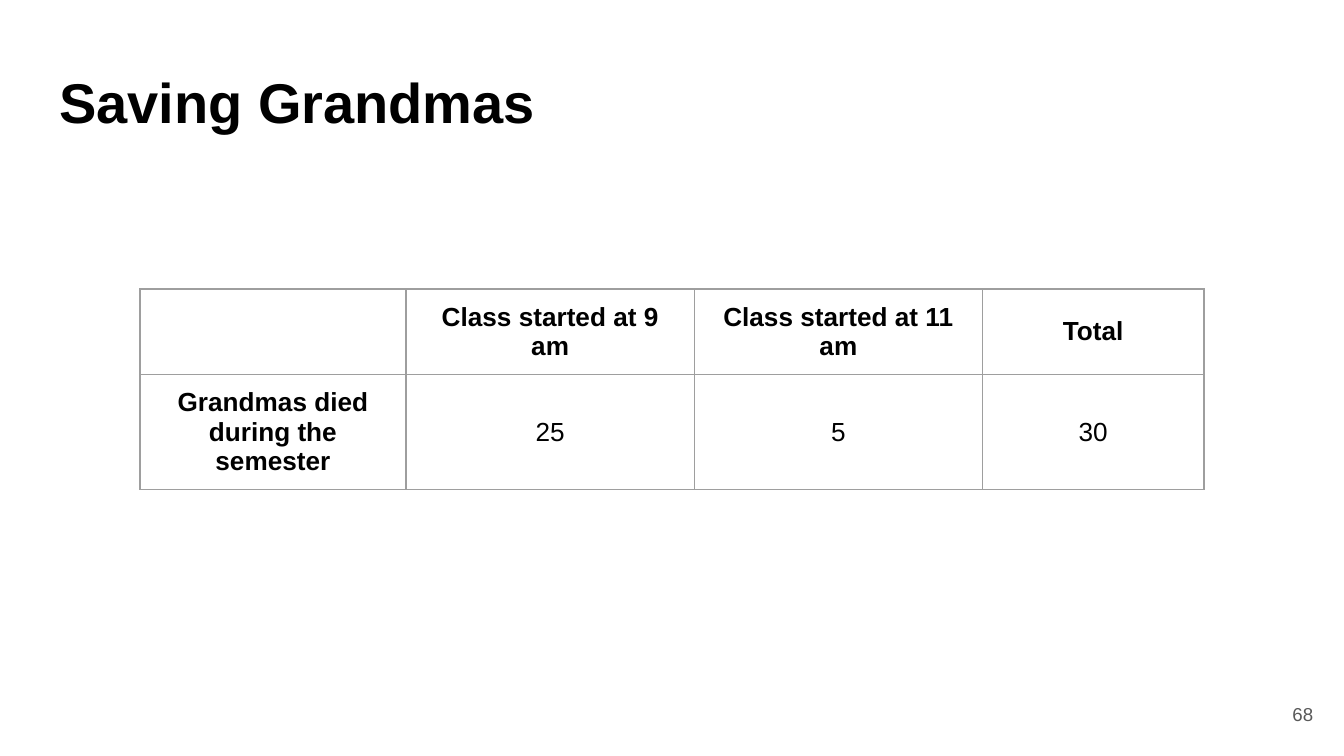
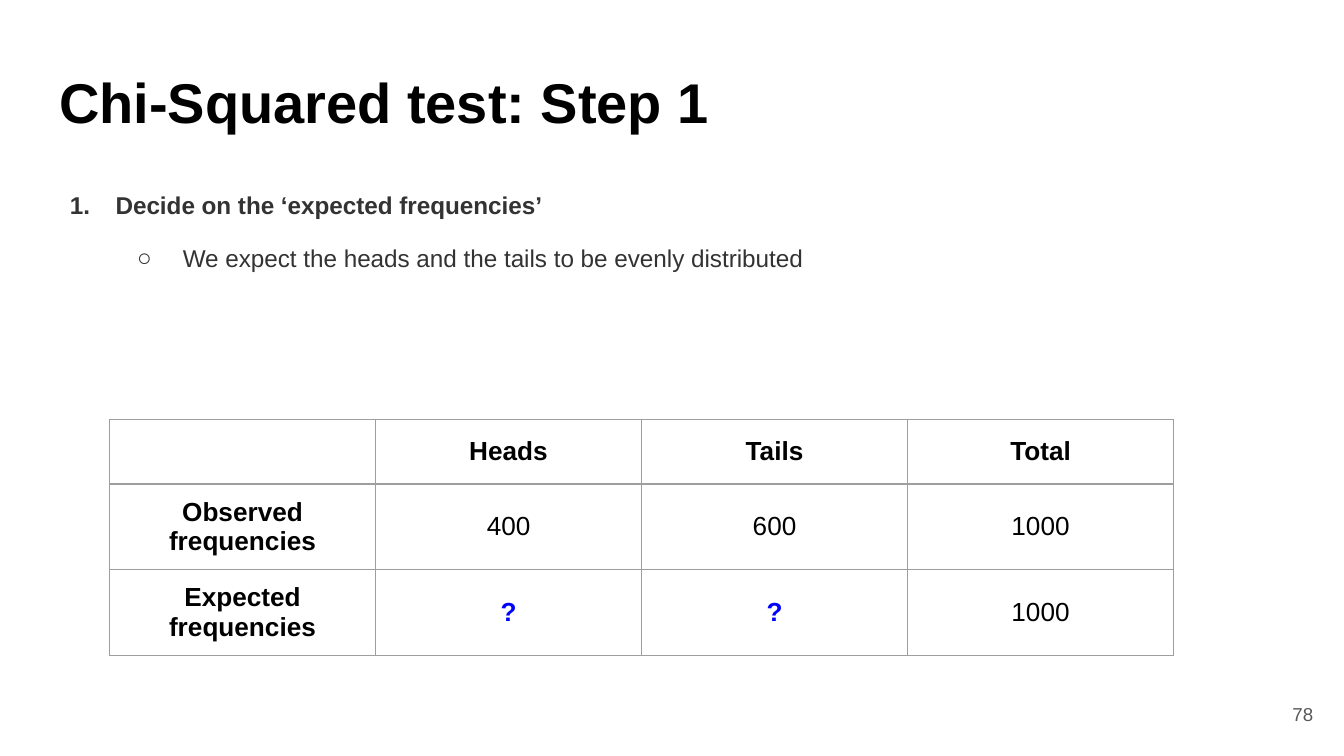
from dataclasses import dataclass
from typing import Optional

from lxml.etree import SubElement
from pptx import Presentation
from pptx.dml.color import RGBColor
from pptx.enum.text import MSO_ANCHOR, MSO_AUTO_SIZE, PP_ALIGN
from pptx.oxml.ns import qn
from pptx.util import Pt


@dataclass(frozen=True)
class Theme:
    font: str = "Arial"
    ink: str = "000000"
    body: str = "333333"
    accent: str = "0000FF"
    muted: str = "595959"
    border: str = "9E9E9E"
    title_size: float = 30
    table_size: float = 14
    body_size: float = 13
    number_size: float = 10
    border_width: float = 0.75
    inset: float = 7.2


@dataclass(frozen=True)
class Box:
    left: float
    top: float
    width: float
    height: float

    def lengths(self):
        return Pt(self.left), Pt(self.top), Pt(self.width), Pt(self.height)


@dataclass(frozen=True)
class FrequencyTable:
    left: float
    top: float
    columns: tuple[float, ...]
    rows: tuple[tuple[str, ...], ...]


@dataclass(frozen=True)
class Point:
    text: str
    bullet: str
    attributes: dict[str, str]
    level: int = 0
    bold: bool = False
    space_before: float = 0


@dataclass(frozen=True)
class Page:
    title: str
    number: str
    table: FrequencyTable
    points: tuple[Point, ...] = ()


THEME = Theme()
TITLE_BOX = Box(24.5, 28.8, 671, 45.4)
POINTS_BOX = Box(25.9, 98.6, 594, 79.2)
NUMBER_BOX = Box(667.4, 367.2, 43.2, 31)
ROW_HEIGHT = 30.2
INDENT = 36
HANGING = 24.5

PAGES = (
    Page(
        "Saving Grandmas",
        "68",
        FrequencyTable(75, 154.8, (142.5, 154.5, 154.3, 118.7), (
            ("", "Class started at 9 am", "Class started at 11 am", "Total"),
            ("Grandmas died during the semester", "25", "5", "30"),
        )),
    ),
    Page(
        "Chi-Squared test: Step 1",
        "78",
        FrequencyTable(58.7, 224.7, (142.5,) * 4, (
            ("", "Heads", "Tails", "Total"),
            ("Observed frequencies", "400", "600", "1000"),
            ("Expected frequencies", "?", "?", "1000"),
        )),
        (
            Point("Decide on the ‘expected frequencies’", "a:buAutoNum",
                  {"type": "arabicPeriod"}, bold=True),
            Point("We expect the heads and the tails to be evenly distributed",
                  "a:buChar", {"char": "○"}, level=1, space_before=10),
        ),
    ),
)


def write(paragraph, text: str, *, size: float, color: str, bold: bool = False,
          align: Optional[PP_ALIGN] = PP_ALIGN.LEFT) -> None:
    paragraph.alignment = align
    run = paragraph.add_run()
    run.text = text
    run.font.name = THEME.font
    run.font.size = Pt(size)
    run.font.bold = bold
    run.font.color.rgb = RGBColor.from_string(color)


def set_frame(frame, anchor: MSO_ANCHOR, inset: float = THEME.inset) -> None:
    frame.word_wrap = True
    frame.auto_size = MSO_AUTO_SIZE.NONE
    frame.vertical_anchor = anchor
    frame.margin_left = frame.margin_right = Pt(inset)
    frame.margin_top = frame.margin_bottom = Pt(inset)


def add_title(slide, text: str) -> None:
    title = slide.shapes.title
    title.left, title.top, title.width, title.height = TITLE_BOX.lengths()
    set_frame(title.text_frame, MSO_ANCHOR.TOP)
    write(title.text_frame.paragraphs[0], text,
          size=THEME.title_size, color=THEME.ink, bold=True)


def add_number(slide, number: str) -> None:
    frame = slide.shapes.add_textbox(*NUMBER_BOX.lengths()).text_frame
    set_frame(frame, MSO_ANCHOR.MIDDLE)
    write(frame.paragraphs[0], number, size=THEME.number_size,
          color=THEME.muted, align=PP_ALIGN.RIGHT)


def set_bullet(paragraph, point: Point) -> None:
    properties = paragraph._p.get_or_add_pPr()
    properties.set("marL", str(Pt(INDENT * (point.level + 1))))
    properties.set("indent", str(-Pt(HANGING)))
    color = SubElement(properties, qn("a:buClr"))
    SubElement(color, qn("a:srgbClr"), val=THEME.body)
    SubElement(properties, qn("a:buFont"), typeface=THEME.font)
    SubElement(properties, qn(point.bullet), point.attributes)


def add_points(slide, points: tuple[Point, ...]) -> None:
    frame = slide.shapes.add_textbox(*POINTS_BOX.lengths()).text_frame
    set_frame(frame, MSO_ANCHOR.TOP, inset=0)
    for index, point in enumerate(points):
        paragraph = frame.add_paragraph() if index else frame.paragraphs[0]
        paragraph.level = point.level
        paragraph.line_spacing = 1.2
        paragraph.space_before = Pt(point.space_before)
        set_bullet(paragraph, point)
        write(paragraph, point.text, size=THEME.body_size,
              color=THEME.body, bold=point.bold)


def set_borders(cell) -> None:
    properties = cell._tc.get_or_add_tcPr()
    for side in ("a:lnL", "a:lnR", "a:lnT", "a:lnB"):
        line = SubElement(properties, qn(side), w=str(Pt(THEME.border_width)))
        fill = SubElement(line, qn("a:solidFill"))
        SubElement(fill, qn("a:srgbClr"), val=THEME.border)


def add_frequencies(slide, content: FrequencyTable) -> None:
    box = Box(content.left, content.top, sum(content.columns),
              ROW_HEIGHT * len(content.rows))
    table = slide.shapes.add_table(
        len(content.rows), len(content.columns), *box.lengths()).table
    table.first_row = table.horz_banding = False
    for column, width in zip(table.columns, content.columns):
        column.width = Pt(width)
    for row_index, row in enumerate(content.rows):
        for column_index, text in enumerate(row):
            cell = table.cell(row_index, column_index)
            set_borders(cell)
            cell.fill.background()
            cell.vertical_anchor = MSO_ANCHOR.MIDDLE
            cell.margin_left = cell.margin_right = Pt(THEME.inset)
            cell.margin_top = cell.margin_bottom = Pt(THEME.inset)
            unknown = text == "?"
            write(cell.text_frame.paragraphs[0], text, size=THEME.table_size,
                  color=THEME.accent if unknown else THEME.ink,
                  bold=unknown or row_index == 0 or column_index == 0,
                  align=PP_ALIGN.CENTER)


def main() -> None:
    presentation = Presentation()
    presentation.slide_width = Pt(720)
    presentation.slide_height = Pt(405)
    title_only = presentation.slide_layouts[5]
    for page in PAGES:
        slide = presentation.slides.add_slide(title_only)
        add_title(slide, page.title)
        if page.points:
            add_points(slide, page.points)
        add_number(slide, page.number)
        add_frequencies(slide, page.table)
    presentation.save("out.pptx")


if __name__ == "__main__":
    main()
